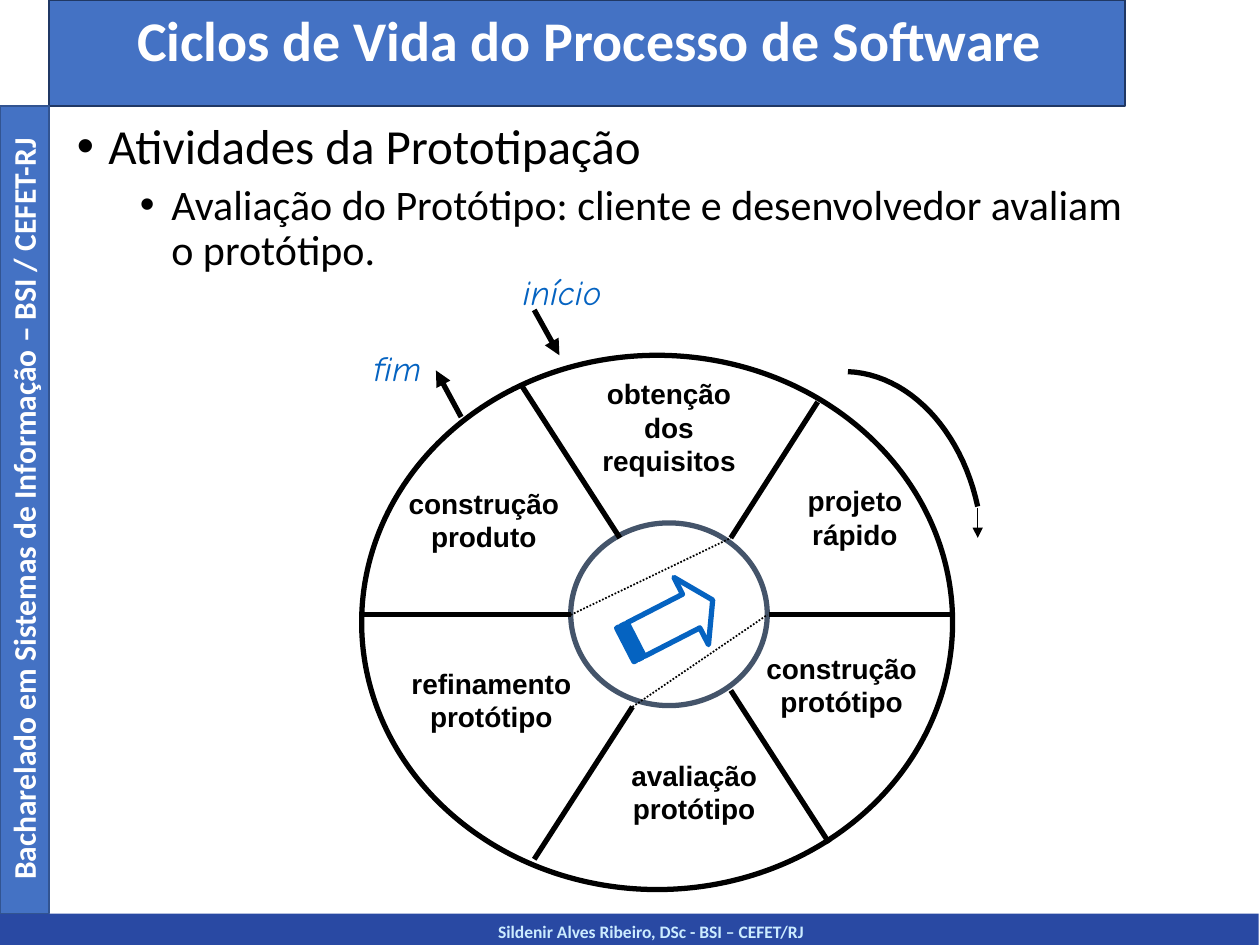
from dataclasses import dataclass

from lxml.etree import SubElement
from pptx import Presentation
from pptx.dml.color import RGBColor
from pptx.enum.dml import MSO_LINE
from pptx.enum.shapes import MSO_CONNECTOR, MSO_SHAPE
from pptx.enum.text import MSO_ANCHOR, MSO_AUTO_SIZE, PP_ALIGN
from pptx.oxml.ns import qn
from pptx.util import Inches, Pt

COLUMNS, ROWS = 100, 75


@dataclass(frozen=True)
class Theme:
    blue: str = "4472C4"
    dark_blue: str = "203864"
    side_edge: str = "325491"
    footer_blue: str = "2949A3"
    footer_text: str = "CCECFF"
    accent: str = "0563C1"
    slate: str = "44546A"
    black: str = "000000"
    white: str = "FFFFFF"
    text_font: str = "Calibri"
    label_font: str = "Arial"
    note_font: str = "Comic Neue"
    title_size: int = 32
    body_sizes: tuple = (28, 24)
    note_size: int = 20
    side_size: int = 18
    label_size: int = 16
    footer_size: int = 10
    thick: float = 3
    thin: float = 1
    hairline: float = 0.75


class SlideBuilder:
    """Places elements on one slide; lengths are columns and rows of the grid."""

    def __init__(self, presentation, theme):
        self.theme = theme
        self.column = presentation.slide_width / COLUMNS
        self.row = presentation.slide_height / ROWS
        self.slide = presentation.slides.add_slide(presentation.slide_layouts[1])
        self.shapes = self.slide.shapes

    def scale(self, *lengths):
        """Turn alternating columns and rows into slide units."""
        return [round(length * (self.row if index % 2 else self.column))
                for index, length in enumerate(lengths)]

    def place(self, shape, box):
        for name, value in zip(("left", "top", "width", "height"), self.scale(*box)):
            setattr(shape, name, value)

    def style_line(self, line, color, width):
        line.color.rgb = RGBColor.from_string(color)
        line.width = Pt(width)

    def style_run(self, run, color, **formats):
        run.font.color.rgb = RGBColor.from_string(color)
        for name, value in formats.items():
            setattr(run.font, name, Pt(value) if name == "size" else value)

    def shape(self, kind, box, fill=None, line=None, width=1, rotation=0):
        shape = self.shapes.add_shape(kind, *self.scale(*box))
        shape.rotation = rotation
        self.finish(shape, fill, line, width)
        return shape

    def finish(self, shape, fill, line, width):
        shape.shadow.inherit = False
        if fill:
            shape.fill.solid()
            shape.fill.fore_color.rgb = RGBColor.from_string(fill)
        else:
            shape.fill.background()
        if line:
            self.style_line(shape.line, line, width)
        else:
            shape.line.fill.background()

    def text(self, text, box, color, alignment=PP_ALIGN.CENTER, rotation=0, **formats):
        text_box = self.shapes.add_textbox(*self.scale(*box))
        text_box.rotation = rotation
        text_box.text_frame.word_wrap = True
        paragraph = text_box.text_frame.paragraphs[0]
        paragraph.text = text
        paragraph.alignment = alignment
        for run in paragraph.runs:
            self.style_run(run, color, **formats)

    def placeholder(self, shape, box):
        """Move a placeholder to the front and return its text frame."""
        self.place(shape, box)
        self.shapes._spTree.append(shape._element)
        frame = shape.text_frame
        for name, value in {"auto_size": MSO_AUTO_SIZE.NONE, "word_wrap": True,
                            "vertical_anchor": MSO_ANCHOR.TOP}.items():
            setattr(frame, name, value)
        return frame

    def title(self, text, box):
        paragraph = self.placeholder(self.shapes.title, box).paragraphs[0]
        paragraph.alignment = PP_ALIGN.CENTER
        paragraph.line_spacing = 0.9
        run = paragraph.add_run()
        run.text = text
        self.style_run(run, self.theme.white, name=self.theme.text_font,
                       size=self.theme.title_size, bold=True)

    def bullets(self, items, box):
        frame = self.placeholder(self.slide.placeholders[1], box)
        for level, text in enumerate(items):
            paragraph = frame.add_paragraph() if level else frame.paragraphs[0]
            paragraph.level = level
            properties = paragraph._p.get_or_add_pPr()
            properties.set("marL", str(Inches(0.25 + 0.5 * level)))
            properties.set("indent", str(Inches(-0.25)))
            SubElement(properties, qn("a:buFont"), typeface=self.theme.label_font)
            SubElement(properties, qn("a:buChar"), char="•")
            paragraph.line_spacing = 0.9
            paragraph.space_before = Pt(5 * level)
            run = paragraph.add_run()
            run.text = text
            self.style_run(run, self.theme.black, name=self.theme.text_font,
                           size=self.theme.body_sizes[level])

    def connector(self, ends, width, dash=None, arrow=False):
        connector = self.shapes.add_connector(MSO_CONNECTOR.STRAIGHT, *self.scale(*ends))
        SubElement(connector._element.spPr, qn("a:effectLst"))
        self.style_line(connector.line, self.theme.black, width)
        if dash:
            connector.line.dash_style = dash
        if arrow:
            SubElement(connector.line._get_or_add_ln(), qn("a:tailEnd"), type="triangle")

    def curve(self, controls, steps=24):
        """Draw an open cubic curve through four control points."""
        points = []
        for step in range(steps + 1):
            t = step / steps
            weights = ((1 - t) ** 3, 3 * t * (1 - t) ** 2, 3 * t * t * (1 - t), t ** 3)
            points.append(self.scale(*(sum(weight * value for weight, value in zip(weights, axis))
                                       for axis in zip(*controls))))
        builder = self.shapes.build_freeform(*points[0])
        builder.add_line_segments(points[1:], close=False)
        self.finish(builder.convert_to_shape(), None, self.theme.black, self.theme.thick)


def add_frame(builder, theme):
    rectangle = MSO_SHAPE.RECTANGLE
    builder.shape(rectangle, (0, 72.5, 99.9, 2.5), theme.footer_blue)
    builder.text("Sildenir Alves Ribeiro, DSc - BSI – CEFET/RJ", (5.1, 72.6, 93.1, 2.5),
                 theme.footer_text, name=theme.text_font, size=theme.footer_size, bold=True)
    builder.shape(rectangle, (3.9, 0, 85.4, 8.4), theme.blue, theme.dark_blue)
    builder.shape(rectangle, (0, 8.4, 3.9, 64.1), theme.blue, theme.side_edge)
    builder.text("Bacharelado em Sistemas de Informação – BSI / CEFET-RJ",
                 (-30.2, 38.4, 64.1, 4), theme.white, rotation=270,
                 name=theme.text_font, size=theme.side_size, bold=True)


def add_cycle(builder, theme):
    for text, left, top in (("fim", 28.7, 27), ("início", 40.5, 21)):
        builder.text(text, (left, top, 10.7, 6), theme.accent, PP_ALIGN.LEFT,
                     name=theme.note_font, size=theme.note_size, italic=True)

    for text, box in (("construção produto", (29.6, 38.1, 17.6, 9.7)),
                      ("refinamento protótipo", (30.7, 52.4, 16.6, 9.7)),
                      ("avaliação protótipo", (47.3, 59.7, 15.6, 9.7)),
                      ("construção protótipo", (59, 51.2, 15.6, 9.7)),
                      ("projeto rápido", (61, 37.9, 13.7, 9.7)),
                      ("obtenção\vdos\vrequisitos", (45.3, 29.4, 15.6, 12.1))):
        builder.text(text, box, theme.black, name=theme.label_font,
                     size=theme.label_size, bold=True)

    builder.shape(MSO_SHAPE.OVAL, (28.7, 28.2, 46.9, 42.4), None, theme.black, theme.thick)
    builder.shape(MSO_SHAPE.OVAL, (45.3, 41.5, 15.6, 14.5), None, theme.slate, theme.thick)
    spokes = ((41.4, 30.6, 49.2, 42.7), (64.9, 31.9, 58, 42.7), (61, 48.8, 75.6, 48.8),
              (58, 54.8, 65.8, 66.9), (50.2, 56.1, 42.4, 68.2), (45.3, 48.8, 28.7, 48.8))
    for ends in spokes:
        builder.connector(ends, theme.thick)

    arrow = builder.shape(MSO_SHAPE.STRIPED_RIGHT_ARROW, (49.2, 46.4, 7.8, 6), None,
                          theme.accent, theme.thick, rotation=332.8)
    arrow.adjustments[0], arrow.adjustments[1] = 0.5, 0.32
    for ends in ((45.3, 48.8, 58, 42.7), (50.2, 56.1, 60.9, 48.8)):
        builder.connector(ends, theme.thin, dash=MSO_LINE.ROUND_DOT)

    for ends in ((36.6, 33.1, 34.6, 29.4), (42.4, 24.6, 44.4, 28.2)):
        builder.connector(ends, theme.thick, arrow=True)
    builder.curve(((67.3, 29.5), (72.1, 29.7), (76.3, 34.1), (77.6, 40.2)))
    builder.connector((77.6, 40.3, 77.6, 42.7), theme.hairline, arrow=True)


def main():
    presentation = Presentation()
    presentation.slide_width, presentation.slide_height = Inches(10), Inches(7.5)
    theme = Theme()
    builder = SlideBuilder(presentation, theme)
    add_frame(builder, theme)
    builder.bullets(("Atividades da Prototipação",
                     "Avaliação do Protótipo: cliente e desenvolvedor avaliam o protótipo."),
                    (5.1, 9.2, 86.2, 13.8))
    add_cycle(builder, theme)
    builder.title("Ciclos de Vida do Processo de Software", (4.3, 0.5, 85, 7.6))
    presentation.save("out.pptx")


if __name__ == "__main__":
    main()
